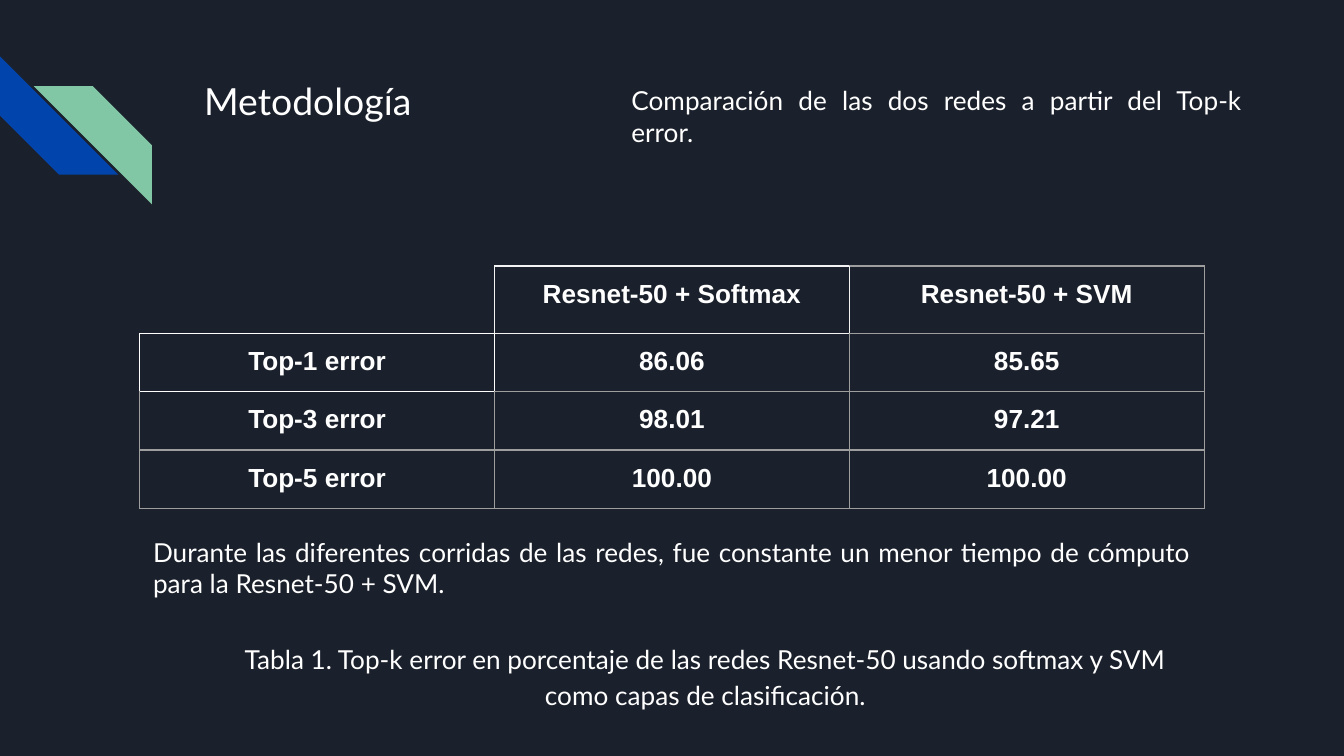
from lxml import etree
from pptx import Presentation
from pptx.dml.color import RGBColor
from pptx.enum.shapes import MSO_SHAPE as Shape
from pptx.enum.text import MSO_ANCHOR as Anchor, PP_ALIGN as Align
from pptx.oxml.ns import qn
from pptx.util import Inches, Pt

WHITE, PALE, GREY = "FFFFFF", "F3F3F3", "9E9E9E"
NAVY, BLUE, GREEN = "1B212C", "0145AC", "82C7A5"

HEADINGS = ["Resnet-50 + Softmax", "Resnet-50 + SVM"]
ERRORS = [
    ["Top-1 error", "86.06", "85.65"],
    ["Top-3 error", "98.01", "97.21"],
    ["Top-5 error", "100.00", "100.00"],
]
# Border colours that differ from grey, by (row, column) and side
BORDERS = {
    (0, 0): {"L": None, "R": PALE, "T": None, "B": WHITE},
    (0, 1): dict.fromkeys("LRTB", PALE),
    (0, 2): {"L": PALE},
    (1, 0): dict.fromkeys("LRTB", WHITE),
    (1, 1): {"L": WHITE, "T": PALE},
    (2, 0): {"T": WHITE},
}


def color(hex_code):
    return RGBColor.from_string(hex_code)


def write(frame, text, size=14, font="Lato", bold=False, align=Align.LEFT,
          line=None, after=0, indent=0):
    frame.word_wrap = True
    paragraph = frame.paragraphs[0]
    paragraph.alignment = align
    paragraph.space_after = Pt(after)
    if line:
        paragraph.line_spacing = line
    if indent:
        properties = paragraph._p.get_or_add_pPr()
        properties.set("marL", str(Inches(indent)))
        properties.set("indent", "0")
    run = paragraph.add_run()
    run.text = text
    run.font.size = Pt(size)
    run.font.name = font
    run.font.bold = bold
    run.font.color.rgb = color(WHITE)


def add_text(slide, box, text, top=0.2, side=0.1, bottom=0.1, **style):
    frame = slide.shapes.add_textbox(*map(Inches, box)).text_frame
    frame.margin_top, frame.margin_bottom = Inches(top), Inches(bottom)
    frame.margin_left = frame.margin_right = Inches(side)
    frame.vertical_anchor = Anchor.TOP
    write(frame, text, **style)


def add_stripes(slide, left, top, size):
    """Two diagonal stripes, the second one right of and below the first."""
    stripes = slide.shapes.add_group_shape().shapes
    for dx, dy, turn, fill in [(0, 0, 270, BLUE), (0.25, 0.22, 90, GREEN)]:
        stripe = stripes.add_shape(
            Shape.DIAGONAL_STRIPE, Inches(left + dx), Inches(top + dy),
            Inches(size), Inches(size))
        stripe.adjustments[0] = 0.5
        stripe.rotation = turn
        stripe.shadow.inherit = False
        stripe.fill.solid()
        stripe.fill.fore_color.rgb = color(fill)
        stripe.line.fill.background()


def set_borders(cell, colors):
    properties = cell._tc.get_or_add_tcPr()
    for position, side in enumerate("LRTB"):
        edge = etree.Element(qn(f"a:ln{side}"), w=str(Pt(0.75)))
        hex_code = colors.get(side, GREY)
        if hex_code:
            fill = etree.SubElement(edge, qn("a:solidFill"))
            etree.SubElement(fill, qn("a:srgbClr"), val=hex_code)
        else:
            etree.SubElement(edge, qn("a:noFill"))
        properties.insert(position, edge)


def add_error_table(slide, left, top, width, row_height, frame_size):
    rows = [["", *HEADINGS], *ERRORS]
    holder = slide.shapes.add_table(
        len(rows), len(rows[0]), Inches(left), Inches(top),
        Inches(width), Inches(row_height * len(rows)))
    # The rows keep their own heights; the outer frame is a fixed square
    holder.width = holder.height = Inches(frame_size)
    table = holder.table
    table.first_row = table.horz_banding = False
    for r, row in enumerate(rows):
        for c, text in enumerate(row):
            cell = table.cell(r, c)
            cell.margin_left = cell.margin_right = Inches(0.1)
            cell.margin_top = cell.margin_bottom = Inches(0.1)
            cell.fill.background()
            set_borders(cell, BORDERS.get((r, c), {}))
            if text:
                write(cell.text_frame, text, font="Arial", bold=True,
                      align=Align.CENTER)


def build_methodology(prs):
    slide = prs.slides.add_slide(prs.slide_layouts[6])
    slide.background.fill.solid()
    slide.background.fill.fore_color.rgb = color(NAVY)

    # Decoration
    add_stripes(slide, 0, 0.42, 0.88)

    # Title and introduction
    add_text(slide, (1.42, 0.43, 7.7, 1), "Metodología",
             top=0.1, size=20, line=1.15, after=16)
    add_text(slide, (4.6, 0.43, 4.74, 0.86),
             "Comparación de las dos redes a partir del Top-k error.",
             align=Align.JUSTIFY, after=16)

    # Table caption
    add_text(slide, (1.15, 4.55, 7.7, 0.86),
             "Tabla 1. Top-k error en porcentaje de las redes Resnet-50 "
             "usando softmax y SVM como capas de clasificación.",
             side=0, bottom=0, align=Align.CENTER, line=1.15, indent=0.5)

    # Results and remark
    add_error_table(slide, 1.04, 1.98, 7.92, 0.42, frame_size=3.28)
    add_text(slide, (1.04, 3.79, 7.92, 0.86),
             "Durante las diferentes corridas de las redes, fue constante un "
             "menor tiempo de cómputo para la Resnet-50 + SVM.",
             align=Align.JUSTIFY, after=16)


def main():
    prs = Presentation()
    prs.slide_width = Inches(10)
    prs.slide_height = prs.slide_width * 9 // 16
    build_methodology(prs)
    prs.save("out.pptx")


if __name__ == "__main__":
    main()
